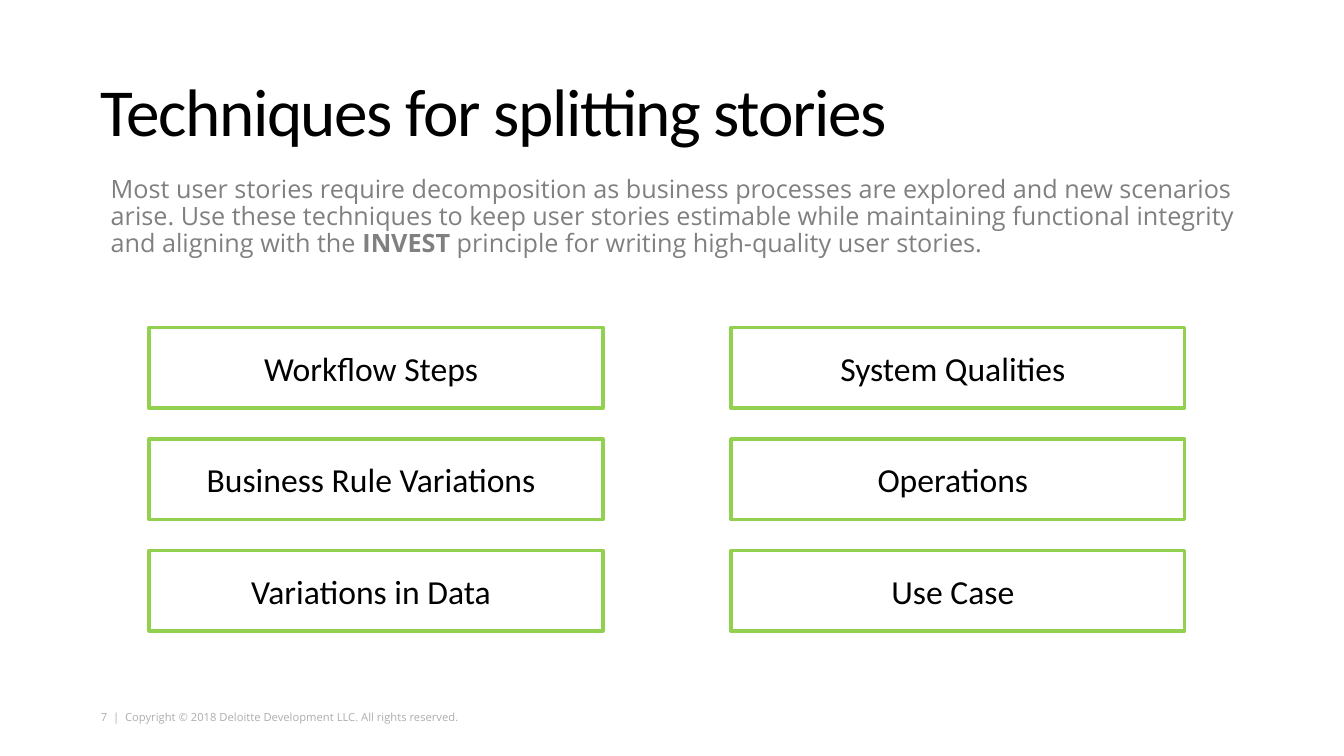
from dataclasses import dataclass

from pptx import Presentation
from pptx import util as u
from pptx.dml import color
from pptx.enum import shapes, text


@dataclass(frozen=True)
class Theme:
    heading_font: str = "Calibri"
    body_font: str = "Open Sans"
    ink: str = "000000"
    body: str = "808080"
    footer: str = "AEAEAE"
    accent: str = "92D050"
    title_size: int = 48
    technique_size: int = 24
    intro_size: int = 18
    footer_size: int = 8
    outline: float = 2.5


THEME = Theme()

TITLE = "Techniques for splitting stories"
INTRO = [
    ("Most user stories require decomposition as business processes are explored "
     "and new scenarios arise. Use these techniques to keep user stories estimable "
     "while maintaining functional integrity and aligning with the ", False),
    ("INVEST", True),
    (" principle for writing high-quality user stories.", False),
]
TECHNIQUES = [
    ["Workflow Steps", "Business Rule Variations", "Variations in Data"],
    ["System Qualities", "Operations", "Use Case"],
]
FOOTER = "7  |  Copyright © 2018 Deloitte Development LLC. All rights reserved."


def style_font(font, name, size, rgb):
    font.name = name
    font.size = u.Pt(size)
    font.color.rgb = color.RGBColor.from_string(rgb)


def set_margins(frame, left, top, right, bottom):
    frame.margin_left = u.Inches(left)
    frame.margin_top = u.Inches(top)
    frame.margin_right = u.Inches(right)
    frame.margin_bottom = u.Inches(bottom)


def add_text_frame(page, area, margins, wrap=True):
    box = page.shapes.add_textbox(*map(u.Inches, area))
    frame = box.text_frame
    frame.word_wrap = wrap
    set_margins(frame, *margins)
    return frame


def add_title(page, area):
    para = add_text_frame(page, area, (0, 0.05, 0.1, 0)).paragraphs[0]
    para.line_spacing = 0.8
    span = para.add_run()
    span.text = TITLE
    style_font(para.font, THEME.heading_font, THEME.title_size, THEME.ink)
    span.font._element.set("spc", "-100")


def add_intro(page, area):
    para = add_text_frame(page, area, (0.1, 0.05, 0.1, 0.05)).paragraphs[0]
    para.line_spacing = 0.9
    for words, bold in INTRO:
        span = para.add_run()
        span.text = words
        span.font.bold = bold
    style_font(para.font, THEME.body_font, THEME.intro_size, THEME.body)


def add_technique(page, area, label):
    box = page.shapes.add_shape(shapes.MSO_SHAPE.RECTANGLE, *map(u.Inches, area))
    box.shadow.inherit = False
    box.fill.background()
    box.line.color.rgb = color.RGBColor.from_string(THEME.accent)
    box.line.width = u.Pt(THEME.outline)
    frame = box.text_frame
    frame.word_wrap = True
    frame.vertical_anchor = text.MSO_ANCHOR.MIDDLE
    set_margins(frame, 0, 0, 0.1, 0)
    para = frame.paragraphs[0]
    para.text = label
    para.alignment = text.PP_ALIGN.CENTER
    style_font(para.font, THEME.heading_font, THEME.technique_size, THEME.ink)


def add_technique_grid(page, area, box_width=4.5, box_height=0.8):
    left, top, width, height = area
    column_step = (width - box_width) / (len(TECHNIQUES) - 1)
    row_step = (height - box_height) / (len(TECHNIQUES[0]) - 1)
    for column, labels in enumerate(TECHNIQUES):
        for row, label in enumerate(labels):
            spot = (left + column * column_step, top + row * row_step)
            add_technique(page, (*spot, box_width, box_height), label)


def add_footer(page, area):
    para = add_text_frame(page, area, (0, 0, 0, 0), wrap=False).paragraphs[0]
    para.text = FOOTER
    style_font(para.font, THEME.body_font, THEME.footer_size, THEME.footer)


def main():
    deck = Presentation()
    deck.slide_width = u.Inches(13.33)
    deck.slide_height = u.Inches(7.5)
    page = deck.slides.add_slide(deck.slide_layouts[6])
    add_footer(page, (1, 7.05, 3.66, 0.13))
    add_title(page, (1, 0.79, 11.33, 0.96))
    add_technique_grid(page, (1.48, 3.25, 10.27, 3.01))
    add_intro(page, (1, 1.7, 11.67, 0.71))
    deck.save("out.pptx")


if __name__ == "__main__":
    main()
